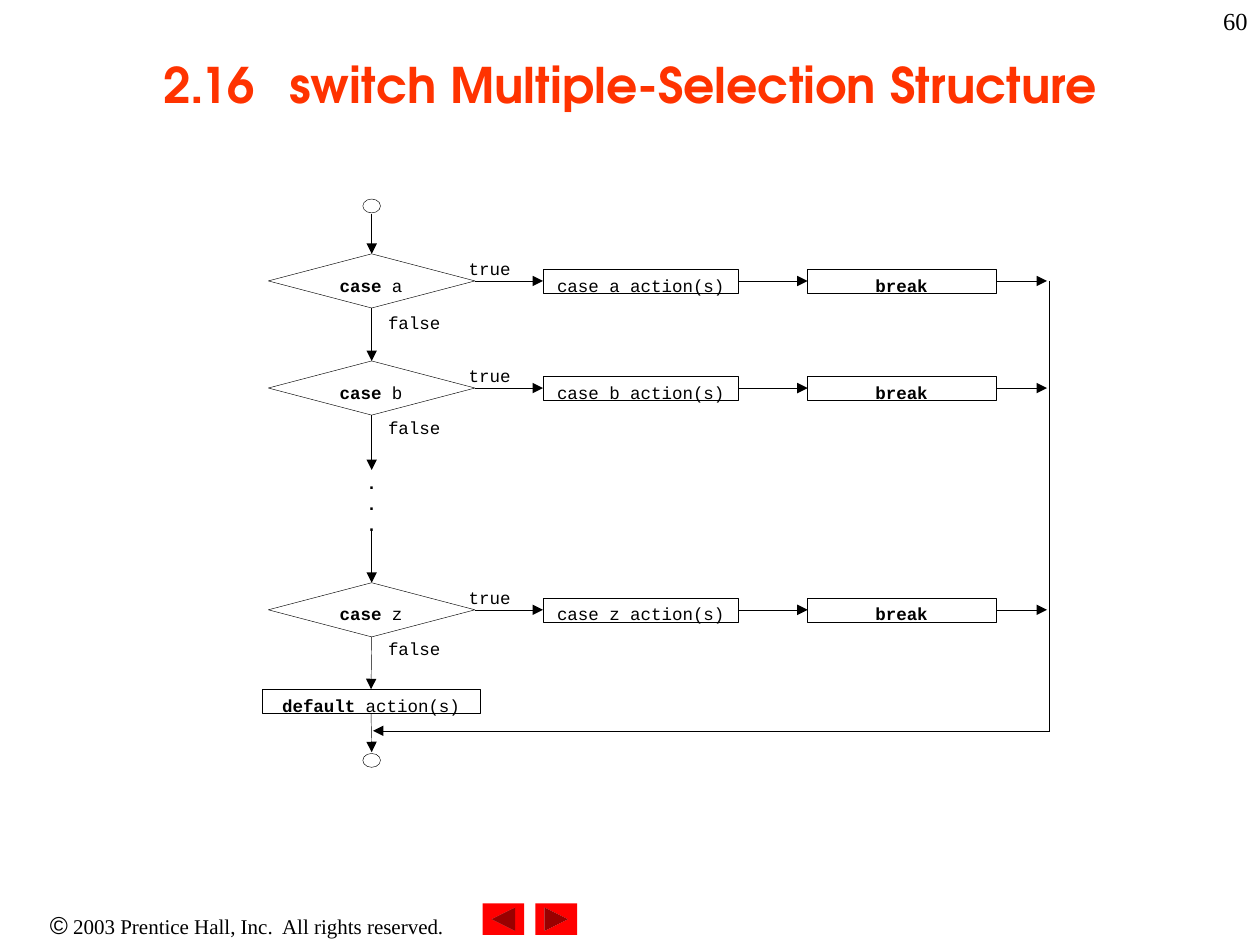
from dataclasses import dataclass

from lxml import etree
from pptx import Presentation
from pptx.dml.color import RGBColor
from pptx.enum import shapes, text
from pptx.oxml.ns import qn
from pptx.util import Inches, Pt

KIND = shapes.MSO_SHAPE
ALIGN = text.PP_ALIGN
TOP, LEFT, BOTTOM, RIGHT = range(4)


@dataclass
class Theme:
    ink: str = "000000"
    paper: str = "FFFFFF"
    title: str = "FF3300"
    button: str = "FF0000"
    head: str = "TeX Gyre Adventor"
    code: str = "Courier New"
    serif: str = "Times New Roman"
    sans: str = "Arial"
    big: int = 28
    mid: int = 14
    note: int = 12
    small: int = 10
    lead: int = 12
    line: float = 0.25


class Chart:
    """Draws flowchart elements on one slide in one style."""

    def __init__(self, slide, theme):
        self.slide, self.theme = slide, theme

    def font(self, font, name, size, color=None):
        font.name, font.size = name, Pt(size)
        font.color.rgb = RGBColor.from_string(color or self.theme.ink)

    def title(self, words, x, y, w, h):
        box = self.slide.shapes.title
        box.left, box.top, box.width, box.height = map(Inches, (x, y, w, h))
        frame = box.text_frame
        frame.text = words
        frame.vertical_anchor = text.MSO_ANCHOR.MIDDLE
        para = frame.paragraphs[0]
        para.alignment = ALIGN.CENTER
        tabs = etree.SubElement(para._p.get_or_add_pPr(), qn("a:tabLst"))
        etree.SubElement(tabs, qn("a:tab"), pos=str(Inches(1)), algn="l")
        self.font(para.font, self.theme.head, self.theme.big, self.theme.title)
        para.font.bold = True

    def frame(self, x, y, w, h):
        box = self.slide.shapes.add_textbox(*map(Inches, (x, y, w, h)))
        box.text_frame.word_wrap = True
        return box.text_frame

    def label(self, x, y, w, h, *lines, align=ALIGN.CENTER):
        """Writes code lines, each a list of (words, bold) runs."""
        frame = self.frame(x, y, w, h)
        frame.margin_left = frame.margin_right = 0
        frame.margin_top = frame.margin_bottom = 0
        for i, line in enumerate(lines):
            para = frame.add_paragraph() if i else frame.paragraphs[0]
            para.alignment, para.line_spacing = align, Pt(self.theme.lead)
            self.font(para.font, self.theme.code, self.theme.small)
            for words, bold in line:
                run = para.add_run()
                run.text, run.font.bold = words, bold

    def note(self, x, y, w, h, align, *runs):
        """Writes one line of (words, font, size) runs."""
        para = self.frame(x, y, w, h).paragraphs[0]
        para.alignment = align
        for words, name, size in runs:
            run = para.add_run()
            run.text = words
            self.font(run.font, name, size)

    def shape(self, kind, x, y, w, h, fill=None, line=True):
        item = self.slide.shapes.add_shape(kind, *map(Inches, (x, y, w, h)))
        item.shadow.inherit = False
        if fill:
            item.fill.solid()
            item.fill.fore_color.rgb = RGBColor.from_string(fill)
        else:
            item.fill.background()
        if line:
            self.stroke(item.line)
        else:
            item.line.fill.background()
        return item

    def stroke(self, line):
        line.width = Pt(self.theme.line)
        line.color.rgb = RGBColor.from_string(self.theme.ink)

    def link(self, x, y, to_x, to_y, start=None, end=None, arrow=True):
        """Draws a line, joined to (shape, side) pairs where given."""
        item = self.slide.shapes.add_connector(
            shapes.MSO_CONNECTOR.STRAIGHT, *map(Inches, (x, y, to_x, to_y)))
        if start:
            item.begin_connect(*start)
        if end:
            item.end_connect(*end)
        self.stroke(item.line)
        if arrow:
            etree.SubElement(item.line._get_or_add_ln(), qn("a:tailEnd"), type="triangle")
        etree.SubElement(item._element.spPr, qn("a:effectLst"))


def row(chart, name, y, low):
    """Draws one case with its action and break, and returns the diamond."""
    test = chart.shape(KIND.DIAMOND, 2.13, y - 0.215, 1.64, 0.43, chart.theme.paper)
    act = chart.shape(KIND.RECTANGLE, 4.31, y - 0.095, 1.55, 0.19)
    stop = chart.shape(KIND.RECTANGLE, 6.41, y - 0.095, 1.5, 0.19)
    chart.link(3.77, y, 4.31, y, (test, RIGHT), (act, LEFT))
    chart.link(5.86, y, 6.41, y, (act, RIGHT), (stop, LEFT))
    chart.link(7.91, y, 8.31, y, (stop, RIGHT))
    chart.label(2.4, y - 0.05, 1.09, 0.14, [("case", True), (f" {name}", False)])
    chart.label(4.36, y - 0.05, 1.45, 0.13, [(f"case {name} action(s)", False)])
    chart.label(6.45, y - 0.05, 1.41, 0.13, [("break", True)])
    chart.label(3.72, y - 0.18, 0.48, 0.21, [("true", False)], align=ALIGN.LEFT)
    chart.label(3.08, low, 0.59, 0.21, [("false", False)], align=ALIGN.LEFT)
    return test


def main():
    deck = Presentation()
    deck.slide_width, deck.slide_height = Inches(10), Inches(7.5)
    theme = Theme()
    chart = Chart(deck.slides.add_slide(deck.slide_layouts[5]), theme)

    chart.title("2.16\tswitch Multiple-Selection Structure", 0.75, 0.08, 8.5, 1.17)
    chart.note(7.92, 0, 2.08, 0.5, ALIGN.RIGHT, ("60", theme.serif, theme.mid))
    chart.note(0, 7.17, 3.92, 0.34, ALIGN.CENTER, ("©", theme.sans, theme.mid),
               (" 2003 Prentice Hall, Inc.  All rights reserved.", theme.serif, theme.note))
    for x, turn in ((3.83, 180), (4.25, 0)):
        button = chart.shape(KIND.ACTION_BUTTON_FORWARD_OR_NEXT, x, 7.17, 0.33, 0.25,
                             theme.button, line=False)
        button.rotation = turn

    mid = 2.95
    for y in (1.58, 5.98):
        chart.shape(KIND.OVAL, mid - 0.07, y, 0.14, 0.11)
    rows = (("a", 2.23, 2.48), ("b", 3.08, 3.31), ("z", 4.84, 5.06))
    first, second, last = [row(chart, *item) for item in rows]
    other = chart.shape(KIND.RECTANGLE, 2.08, 5.47, 1.73, 0.19)
    chart.label(2.13, 5.52, 1.63, 0.13, [("default", True), (" action(s)", False)])
    chart.label(mid - 0.07, 3.75, 0.14, 0.52, *[[(".", True)]] * 3)

    chart.link(mid, 1.7, mid, 2.01, end=(first, TOP))
    chart.link(mid, 2.44, mid, 2.86, (first, BOTTOM), (second, TOP))
    chart.link(mid, 3.31, mid, 3.73, (second, BOTTOM))
    chart.link(mid, 4.2, mid, 4.62, end=(last, TOP))
    chart.link(mid, 5.05, mid, 5.47, (last, BOTTOM), (other, TOP))
    chart.link(mid, 5.66, mid, 5.97, (other, BOTTOM))
    chart.link(8.33, 2.23, 8.33, 5.8, arrow=False)
    chart.link(8.33, 5.8, 2.96, 5.8)

    deck.save("out.pptx")


if __name__ == "__main__":
    main()
